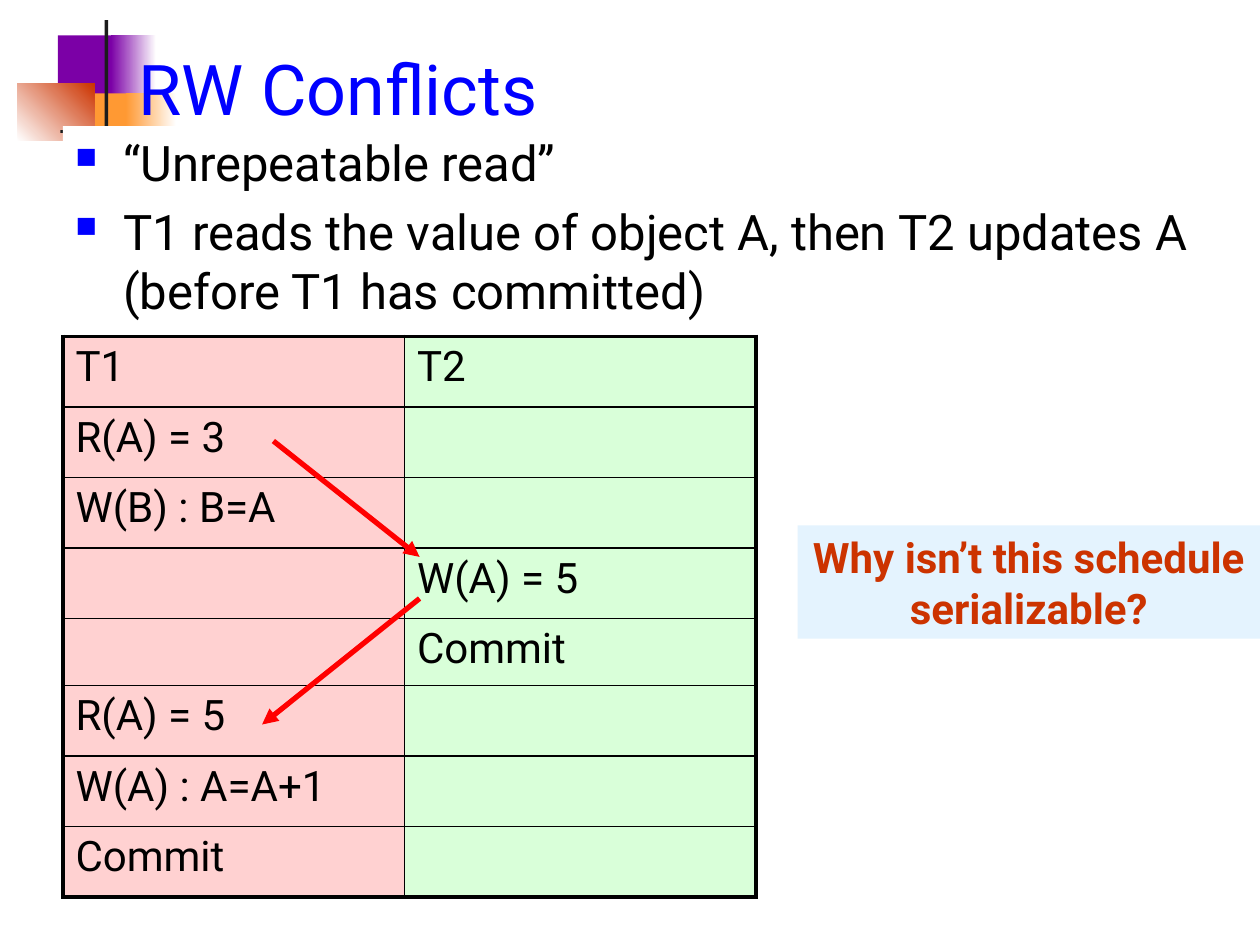
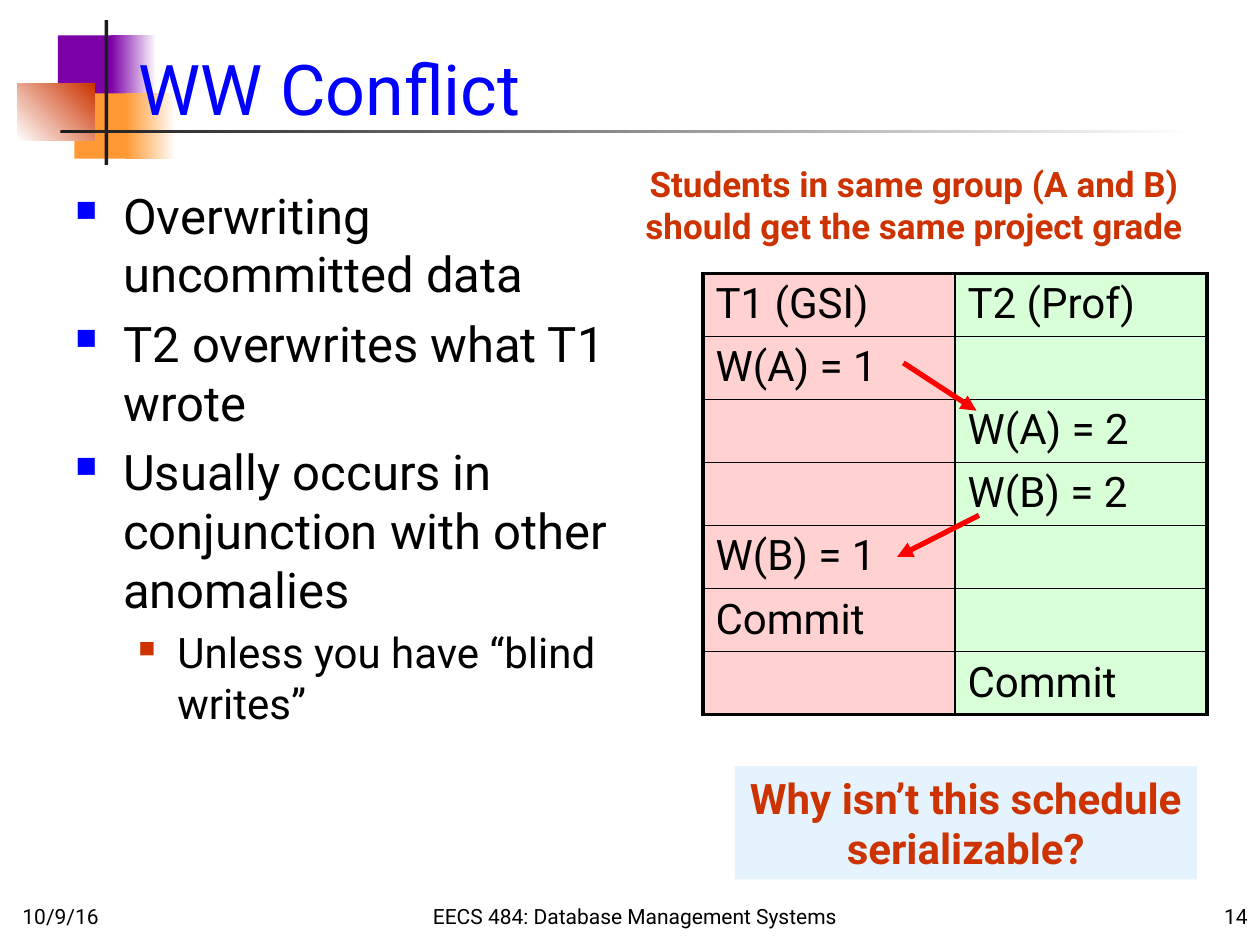
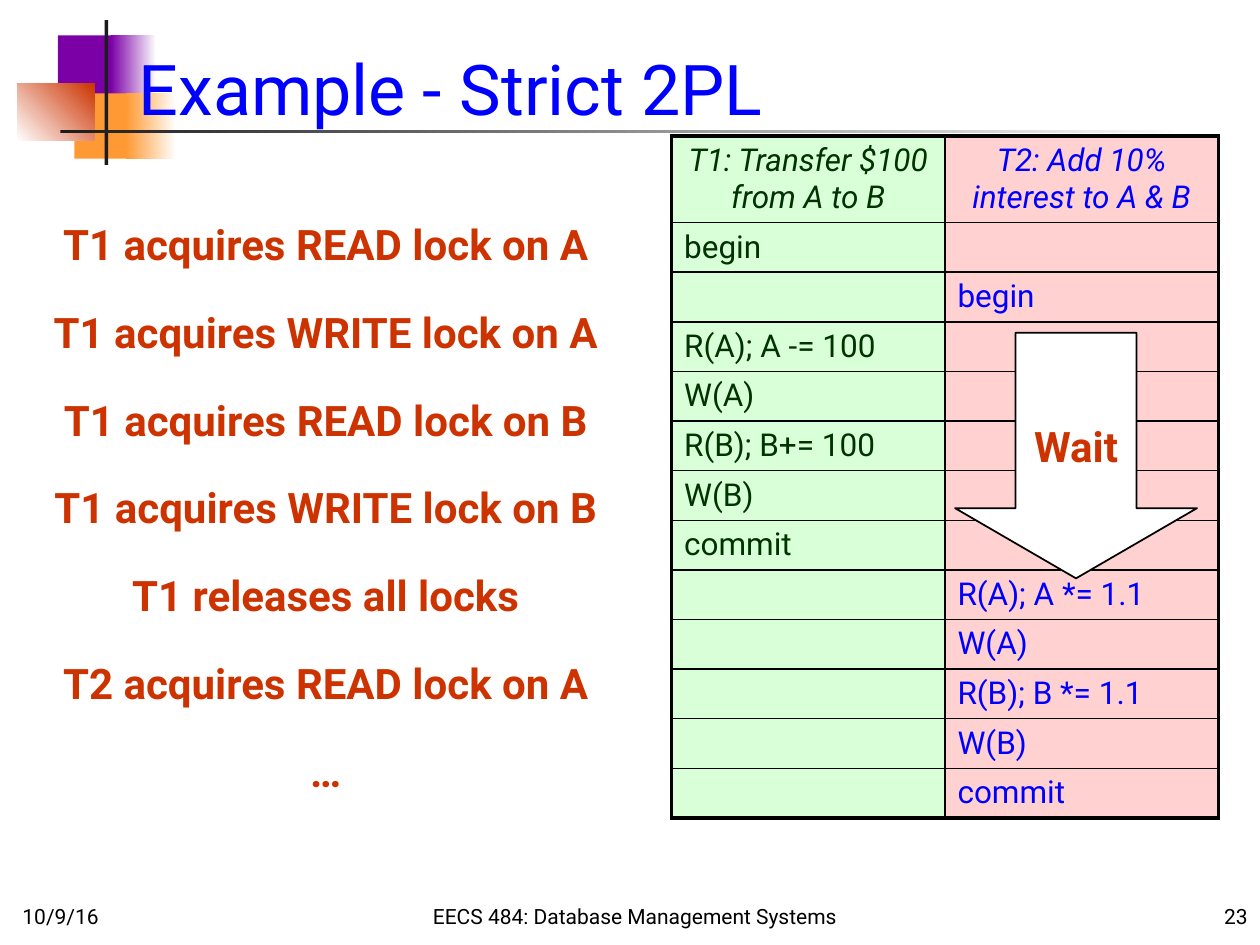
from dataclasses import dataclass

from lxml import etree
from pptx import Presentation
from pptx.dml.color import RGBColor
from pptx.enum.shapes import MSO_CONNECTOR, MSO_SHAPE
from pptx.enum.text import MSO_ANCHOR, PP_ALIGN
from pptx.oxml.ns import qn
from pptx.util import Inches, Pt

RECTANGLE, DOWN_ARROW = MSO_SHAPE.RECTANGLE, MSO_SHAPE.DOWN_ARROW
STRAIGHT = MSO_CONNECTOR.STRAIGHT
TOP, MIDDLE, BOTTOM = MSO_ANCHOR.TOP, MSO_ANCHOR.MIDDLE, MSO_ANCHOR.BOTTOM
LEFT, CENTER, RIGHT = PP_ALIGN.LEFT, PP_ALIGN.CENTER, PP_ALIGN.RIGHT
TITLE_ONLY = 5


@dataclass(frozen=True)
class Theme:
    """Colours, font and type sizes of the deck."""
    font: str = "Roboto"
    black: str = "000000"
    white: str = "FFFFFF"
    blue: str = "0000FF"
    rust: str = "CC3300"
    purple: str = "7B00A6"
    orange: str = "FF9933"
    charcoal: str = "1C1C1C"
    arrow: str = "FF0000"
    pink: str = "FFD1D1"
    mint: str = "D9FFD9"
    forest: str = "003300"
    callout: str = "E4F3FE"
    title_size: int = 40
    body_size: int = 28
    large_size: int = 24
    note_size: int = 20
    cell_size: int = 18
    footer_size: int = 12
    outer_border: float = 2.25
    inner_border: float = 1


THEME = Theme()
TITLE_BOX = (1, -0.17, 8.83, 1.25)
QUESTION = "Why isn’t this schedule serializable?"
COURSE = "EECS 484: Database Management Systems"
DATE = "10/9/16"
EMPHASIS = {"color": THEME.rust, "bold": True}
CENTERED = {"alignment": CENTER}

# Level: left margin, hanging indent, colour, bullet percent, text size, space before
BULLETS = (
    (0.38, 0.38, THEME.blue, 60, THEME.body_size, 6),
    (0.81, 0.31, THEME.rust, 55, THEME.large_size, 5),
)
# Box, first colour, last colour, angle
DECORATION = (
    ((0.46, 0.28, 0.48, 0.52), THEME.purple, None, 0),
    ((0.88, 0.28, 0.36, 0.52), THEME.purple, THEME.white, 0),
    ((0.59, 0.74, 0.46, 0.52), THEME.orange, None, 0),
    ((1, 0.74, 0.4, 0.52), THEME.orange, THEME.white, 0),
    ((0.14, 0.66, 0.61, 0.46), THEME.white, THEME.rust, 45),
    ((0.83, 0.16, 0.03, 1.15), THEME.charcoal, None, 0),
    ((0.48, 1.03, 9, 0.03), THEME.charcoal, THEME.white, 0),
)
PINK_THEN_MINT = ((THEME.pink, THEME.black), (THEME.mint, THEME.black))
MINT_THEN_PINK = ((THEME.mint, THEME.forest), (THEME.pink, THEME.blue))

RW_SCHEDULE = (
    ("T1", "T2"),
    ("R(A) = 3", ""),
    ("W(B) : B=A", ""),
    ("", "W(A) = 5"),
    ("", "Commit"),
    ("R(A) = 5", ""),
    ("W(A) : A=A+1", ""),
    ("Commit", ""),
)
WW_SCHEDULE = (
    ("T1 (GSI)", "T2 (Prof)"),
    ("W(A) = 1", ""),
    ("", "W(A) = 2"),
    ("", "W(B) = 2"),
    ("W(B) = 1", ""),
    ("Commit", ""),
    ("", "Commit"),
)
LOCK_SCHEDULE = (
    ("T1: Transfer $100 from A to B", "T2: Add 10% interest to A & B"),
    ("begin", ""),
    ("", "begin"),
    ("R(A); A -= 100", ""),
    ("W(A)", ""),
    ("R(B); B+= 100", ""),
    ("W(B)", ""),
    ("commit", ""),
    ("", "R(A); A *= 1.1"),
    ("", "W(A)"),
    ("", "R(B); B *= 1.1"),
    ("", "W(B)"),
    ("", "commit"),
)
LOCK_STEPS = (
    "T1 acquires READ lock on A",
    "T1 acquires WRITE lock on A",
    "T1 acquires READ lock on B",
    "T1 acquires WRITE lock on B",
    "T1 releases all locks",
    "T2 acquires READ lock on A",
    "…",
)


def apply(target, values):
    """Set each format value on the target."""
    for name, value in values.items():
        setattr(target, name, value)


def inches(lengths):
    """Convert a series of numbers to lengths."""
    return [Inches(length) for length in lengths]


def paint(fill, color):
    """Give a fill one solid colour."""
    fill.solid()
    fill.fore_color.rgb = RGBColor.from_string(color)


def write(paragraph, text, size, color=THEME.black, layout=None, **font):
    """Put one formatted run in a paragraph."""
    apply(paragraph, layout or {})
    run = paragraph.add_run()
    run.text = text
    apply(run.font, {"name": THEME.font, "size": Pt(size), **font})
    run.font.color.rgb = RGBColor.from_string(color)


def next_paragraph(frame, index):
    """Return the first paragraph, or add a further one."""
    return frame.add_paragraph() if index else frame.paragraphs[0]


def add_block(slide, box, color, kind=RECTANGLE):
    """Add a flat shape without outline."""
    block = slide.shapes.add_shape(kind, *inches(box))
    block.shadow.inherit = False
    block.line.fill.background()
    paint(block.fill, color)
    return block


def add_label(slide, box, text, size, anchor=MIDDLE, alignment=CENTER, **font):
    """Add a wrapped line of text."""
    frame = slide.shapes.add_textbox(*inches(box)).text_frame
    apply(frame, {"word_wrap": True, "vertical_anchor": anchor})
    write(frame.paragraphs[0], text, size, layout={"alignment": alignment}, **font)


def add_decoration(slide):
    """Draw the coloured squares and rules of the title area."""
    for box, first, last, angle in DECORATION:
        block = add_block(slide, box, first)
        if last:
            block.fill.gradient()
            block.fill.gradient_angle = angle
            for stop, color in zip(block.fill.gradient_stops, (first, last)):
                stop.color.rgb = RGBColor.from_string(color)


def add_footer(slide, number):
    """Add date, course name and slide number."""
    parts = (
        (0.08, 2.08, DATE, LEFT),
        (2.33, 5.42, COURSE, CENTER),
        (7.92, 2.08, number, RIGHT),
    )
    for left, width, text, alignment in parts:
        add_label(slide, (left, 6.92, width, 0.5), text, THEME.footer_size, BOTTOM, alignment)


def start_slide(deck, heading, number=None):
    """Add a slide with decoration, title and optional footer."""
    slide = deck.slides.add_slide(deck.slide_layouts[TITLE_ONLY])
    add_decoration(slide)
    if number:
        add_footer(slide, number)
    title = slide.shapes.title
    apply(title, dict(zip(("left", "top", "width", "height"), inches(TITLE_BOX))))
    title.text_frame.vertical_anchor = BOTTOM
    write(title.text_frame.paragraphs[0], heading, THEME.title_size, THEME.blue,
          {"alignment": LEFT})
    slide.shapes.element.append(title.element)
    return slide


def add_bullets(slide, box, points, background=None):
    """Add square-bulleted points given as level and text."""
    body = slide.shapes.add_textbox(*inches(box))
    if background:
        paint(body.fill, background)
    frame = body.text_frame
    apply(frame, {"word_wrap": True, "vertical_anchor": TOP})
    for index, (level, text) in enumerate(points):
        margin, hanging, color, percent, size, gap = BULLETS[level]
        paragraph = next_paragraph(frame, index)
        properties = paragraph._p.get_or_add_pPr()
        properties.set("marL", str(Inches(margin)))
        properties.set("indent", str(-Inches(hanging)))
        bullet_color = etree.SubElement(properties, qn("a:buClr"))
        etree.SubElement(bullet_color, qn("a:srgbClr"), val=color)
        etree.SubElement(properties, qn("a:buSzPct"), val=str(percent * 1000))
        etree.SubElement(properties, qn("a:buChar"), char="■")
        write(paragraph, text, size, layout={"level": level, "space_before": Pt(gap if index else 0)})


def add_borders(cell, outer_sides):
    """Draw four cell borders, heavier on the outer sides."""
    properties = cell._tc.get_or_add_tcPr()
    for side in "LRTB":
        width = THEME.outer_border if side in outer_sides else THEME.inner_border
        border = etree.SubElement(properties, qn(f"a:ln{side}"), w=str(Pt(width)))
        color = etree.SubElement(border, qn("a:solidFill"))
        etree.SubElement(color, qn("a:srgbClr"), val=THEME.black)


def add_schedule(slide, corner, widths, heights, rows, columns, size, header=None):
    """Add a two-transaction schedule table."""
    box = (*corner, sum(widths), sum(heights))
    table = slide.shapes.add_table(len(rows), len(widths), *inches(box)).table
    apply(table, {"first_row": False, "horz_banding": False})
    for column, width in zip(table.columns, widths):
        column.width = Inches(width)
    for row, height in zip(table.rows, heights):
        row.height = Inches(height)
    for step, texts in enumerate(rows):
        for place, (text, (fill, color)) in enumerate(zip(texts, columns)):
            cell = table.cell(step, place)
            edges = {"L": place == 0, "R": place == len(columns) - 1,
                     "T": step == 0, "B": step == len(rows) - 1}
            add_borders(cell, [side for side, outer in edges.items() if outer])
            paint(cell.fill, fill)
            if text:
                extra = (header or {}) if step == 0 else {}
                write(cell.text_frame.paragraphs[0], text, size, color, **extra)
            else:
                apply(cell, {"margin_top": 0, "margin_bottom": 0})


def add_conflict_arrow(slide, start, end):
    """Draw a red arrow between conflicting actions."""
    arrow = slide.shapes.add_connector(STRAIGHT, *inches((*start, *end)))
    arrow.line.width = Pt(3)
    paint(arrow.line.fill, THEME.arrow)
    properties = arrow.element.spPr
    etree.SubElement(properties.find(qn("a:ln")), qn("a:tailEnd"), type="triangle")
    etree.SubElement(properties, qn("a:effectLst"))


def add_question(slide, left, top):
    """Add the highlighted question."""
    question = add_block(slide, (left, top, 3.67, 0.9), THEME.callout)
    apply(question.text_frame, {"word_wrap": True, "vertical_anchor": MIDDLE})
    write(question.text_frame.paragraphs[0], QUESTION, THEME.large_size,
          layout=CENTERED, **EMPHASIS)


def add_wait_arrow(slide):
    """Add the block arrow over the waiting steps."""
    wait = add_block(slide, (7.58, 2.64, 1.92, 1.95), THEME.white, DOWN_ARROW)
    wait.adjustments[0], wait.adjustments[1] = 0.5, 0.29
    paint(wait.line.fill, THEME.black)
    wait.line.width = Pt(1)
    apply(wait.text_frame, {"word_wrap": True, "vertical_anchor": MIDDLE})
    write(wait.text_frame.paragraphs[0], "Wait", THEME.large_size,
          layout={**CENTERED, "line_spacing": 1.3}, **EMPHASIS)


def add_lock_steps(slide):
    """List the lock steps in order."""
    frame = slide.shapes.add_textbox(*inches((0.17, 1.47, 4.83, 4.99))).text_frame
    apply(frame, {"word_wrap": True, "vertical_anchor": MIDDLE})
    for index, step in enumerate(LOCK_STEPS):
        spacing = {"line_spacing": 1.3, "space_before": Pt(12.7 if index else 0)}
        write(next_paragraph(frame, index), step, THEME.large_size,
              layout={**CENTERED, **spacing}, **EMPHASIS)


def build_rw_conflicts(deck):
    """Build the unrepeatable read slide."""
    slide = start_slide(deck, "RW Conflicts")
    add_bullets(slide, (0.5, 1, 9.17, 5.25), (
        (0, "“Unrepeatable read”"),
        (0, "T1 reads the value of object A, then T2 updates A (before T1 has committed)"),
    ), THEME.white)
    heights = [0.56] * 4 + [0.53] + [0.56] * 3
    add_schedule(slide, (0.5, 2.67), (2.71, 2.79), heights, RW_SCHEDULE,
                 PINK_THEN_MINT, THEME.large_size)
    add_question(slide, 6.33, 4.17)
    add_conflict_arrow(slide, (2.17, 3.5), (3.33, 4.42))
    add_conflict_arrow(slide, (3.33, 4.75), (2.08, 5.75))


def build_ww_conflict(deck):
    """Build the overwritten data slide."""
    slide = start_slide(deck, "WW Conflict", "14")
    add_bullets(slide, (0.5, 1.42, 4.75, 5.08), (
        (0, "Overwriting uncommitted data"),
        (0, "T2 overwrites what T1 wrote"),
        (0, "Usually occurs in conjunction with other anomalies"),
        (1, "Unless you have “blind writes”"),
    ))
    add_schedule(slide, (5.58, 2.17), (2, 2), [0.49] * len(WW_SCHEDULE), WW_SCHEDULE,
                 PINK_THEN_MINT, THEME.large_size)
    add_label(slide, (4.92, 1.24, 4.67, 0.77),
              "Students in same group (A and B) should get the same project grade",
              THEME.note_size, **EMPHASIS)
    add_question(slide, 5.83, 6.08)
    add_conflict_arrow(slide, (7.17, 2.88), (7.75, 3.26))
    add_conflict_arrow(slide, (7.77, 4.09), (7.12, 4.42))


def build_strict_2pl(deck):
    """Build the strict two-phase locking slide."""
    slide = start_slide(deck, "Example - Strict 2PL", "23")
    heights = [0.68] + [0.39] * (len(LOCK_SCHEDULE) - 1)
    add_schedule(slide, (5.33, 1.08), (2.17, 2.17), heights, LOCK_SCHEDULE,
                 MINT_THEN_PINK, THEME.cell_size, {"layout": CENTERED, "italic": True})
    add_wait_arrow(slide)
    add_lock_steps(slide)


def main():
    """Build and save the deck."""
    deck = Presentation()
    apply(deck, {"slide_width": Inches(10), "slide_height": Inches(7.5)})
    build_rw_conflicts(deck)
    build_ww_conflict(deck)
    build_strict_2pl(deck)
    deck.save("out.pptx")


if __name__ == "__main__":
    main()
